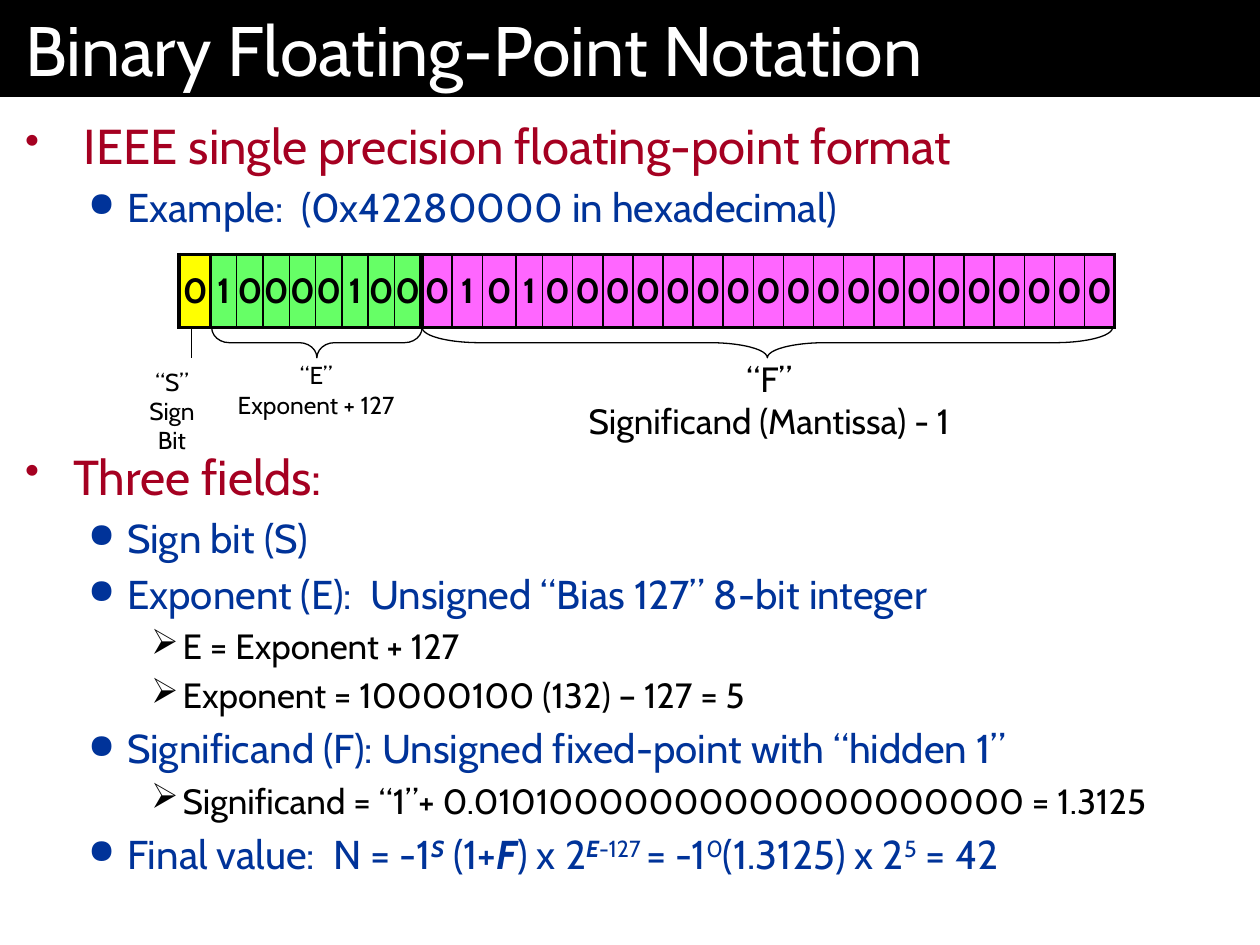
from lxml import etree
from pptx import Presentation, util as u
from pptx.dml.color import RGBColor
from pptx.enum import shapes, text
from pptx.oxml import ns

THEME = {
    "font": "Cabin",
    "colors": {"black": "000000", "white": "FFFFFF", "red": "A50021", "blue": "003399",
               "yellow": "FFFF00", "green": "66FF66", "pink": "FF66FF"},
    "sizes": {"title": 40, "bit": 20, "large": 20, "small": 14},
    "lines": {"outer": 2.25, "inner": 1, "thin": 0.75},
}
LEVELS = [
    {"size": 28, "color": "red", "bullet": "•", "scale": 85, "left": 0.38, "hang": 0.38},
    {"size": 23, "color": "blue", "bullet": "●", "scale": 85, "left": 0.81, "hang": 0.31},
    {"size": 20, "color": "black", "bullet": "➢", "scale": 100, "left": 1.25, "hang": 0.25},
]
WIDTH, HEIGHT = 10, 7.5
TITLE_HEIGHT = 0.77
ROW_TOP, ROW_HEIGHT = 2.02, 0.58
BRACE_TOP, BRACE_DEPTH = 2.6, 0.24
SPACE_SHARE = 0.2
DIAGRAM_GAP = 123

TITLE = "Binary Floating-Point Notation"
STRONG = {"bold": True, "italic": True}
RAISED = {"baseline": "30000"}
OUTLINE = [
    (0, [" IEEE single precision floating-point format"]),
    (1, ["Example:  (0x42280000 in hexadecimal)"]),
    (0, ["Three fields:"]),
    (1, ["Sign bit (S)"]),
    (1, ["Exponent (E):  Unsigned “Bias 127” 8-bit integer"]),
    (2, ["E = Exponent + 127"]),
    (2, ["Exponent = 10000100 (132) – 127 = 5"]),
    (1, ["Significand (F): Unsigned fixed-point with “hidden 1”"]),
    (2, ["Significand = “1”+ 0.01010000000000000000000 = 1.3125"]),
    (1, ["Final value:  N = -1", ("S", STRONG, RAISED), " (1+", ("F", STRONG, {}), ") x 2",
         ("E", STRONG, RAISED), ("-127 ", {}, RAISED), "= -1", ("0", {}, RAISED),
         "(1.3125) x 2", ("5", {}, RAISED), " = 42"]),
]
GAP_BEFORE = {"Three fields:": DIAGRAM_GAP}
FIELDS = [
    {"bits": "01010000000000000000000", "left": 3.35, "width": 5.5, "fill": "pink",
     "shift": {2: 0.03, 3: -0.03}},
    {"bits": "0", "left": 1.42, "width": 0.26, "fill": "yellow", "shift": {}},
    {"bits": "10000100", "left": 1.67, "width": 1.67, "fill": "green", "shift": {}},
]
BRACES = [(3.35, 5.48, 1.91), (1.68, 1.67, 0.58)]
LABELS = [
    (["“F”", "Significand (Mantissa) - 1"], (4.43, 2.79, 3.35, 0.77), "large", False),
    (["“E”", "Exponent + 127"], (1.71, 2.81, 1.6, 0.57), "small", False),
    (["“S”", "Sign", "Bit"], (0.92, 2.86, 0.89, 0.81), "small", True),
]
SIGN_LINE = (1.52, 2.6, 2.84)


def assign(target, values):
    for name, value in values.items():
        setattr(target, name, value)


def rgb(name):
    return RGBColor.from_string(THEME["colors"][name])


def inches(*values):
    return [u.Inches(value) for value in values]


def add_span(para, words, size, color, style=(), attributes=()):
    span = para.add_run()
    span.text = words
    assign(span.font, {"name": THEME["font"], "size": u.Pt(size), **dict(style)})
    span.font.color.rgb = rgb(color)
    for name, value in dict(attributes).items():
        span.font._element.set(name, value)


def add_box(page, area, margins=(0.1, 0.05), wrap=True, anchor=text.MSO_ANCHOR.TOP):
    box = page.shapes.add_textbox(*inches(*area))
    side, edge = inches(*margins)
    assign(box.text_frame, {"margin_left": side, "margin_right": side, "margin_top": edge,
                            "margin_bottom": edge, "word_wrap": wrap,
                            "vertical_anchor": anchor})
    return box


def next_para(frame, index):
    return frame.add_paragraph() if index else frame.paragraphs[0]


def add_child(parent, tag, **attributes):
    return etree.SubElement(parent, ns.qn(tag), attributes)


def add_title(page):
    box = add_box(page, (0, 0, WIDTH, TITLE_HEIGHT), (0.2, 0.05),
                  anchor=text.MSO_ANCHOR.MIDDLE)
    box.fill.solid()
    box.fill.fore_color.rgb = rgb("black")
    add_span(box.text_frame.paragraphs[0], TITLE, THEME["sizes"]["title"], "white")


def add_outline(page):
    box = add_box(page, (0, TITLE_HEIGHT, WIDTH, HEIGHT - TITLE_HEIGHT), (0.2, 0.15))
    for index, (depth, spans) in enumerate(OUTLINE):
        level = LEVELS[depth]
        para = next_para(box.text_frame, index)
        gap = GAP_BEFORE.get(spans[0], SPACE_SHARE * level["size"])
        assign(para, {"level": depth, "space_before": u.Pt(gap)})
        props = para._p.get_or_add_pPr()
        props.set("marL", str(u.Inches(level["left"])))
        props.set("indent", str(-u.Inches(level["hang"])))
        tint = add_child(props, "a:buClr")
        add_child(tint, "a:srgbClr", val=THEME["colors"][level["color"]])
        add_child(props, "a:buSzPct", val=str(level["scale"] * 1000))
        add_child(props, "a:buChar", char=level["bullet"])
        for span in spans:
            words, *formats = (span,) if isinstance(span, str) else span
            add_span(para, words, level["size"], level["color"], *formats)


def add_border(cell, side, weight):
    line = add_child(cell._tc.get_or_add_tcPr(), f"a:ln{side}", w=str(u.Pt(weight)))
    paint = add_child(line, "a:solidFill")
    add_child(paint, "a:srgbClr", val=THEME["colors"]["black"])


def add_field(page, field):
    bits = field["bits"]
    area = inches(field["left"], ROW_TOP, field["width"], ROW_HEIGHT)
    table = page.shapes.add_table(1, len(bits), *area).table
    assign(table, {"first_row": False, "horz_banding": False})
    outer, inner = THEME["lines"]["outer"], THEME["lines"]["inner"]
    for index, bit in enumerate(bits):
        width = field["width"] / len(bits) + field["shift"].get(index, 0)
        table.columns[index].width = u.Inches(width)
        cell = table.cell(0, index)
        assign(cell, {"margin_left": 0, "margin_right": 0, "margin_top": 0,
                      "margin_bottom": 0, "vertical_anchor": text.MSO_ANCHOR.MIDDLE})
        add_border(cell, "L", outer if index == 0 else inner)
        add_border(cell, "R", outer if index == len(bits) - 1 else inner)
        add_border(cell, "T", outer)
        add_border(cell, "B", outer)
        cell.fill.solid()
        cell.fill.fore_color.rgb = rgb(field["fill"])
        para = cell.text_frame.paragraphs[0]
        size = THEME["sizes"]["bit"]
        assign(para, {"alignment": text.PP_ALIGN.CENTER, "space_before": u.Pt(SPACE_SHARE * size)})
        add_span(para, bit, size, "black", {"bold": True})


def style_line(line):
    line.color.rgb = rgb("black")
    line.width = u.Pt(THEME["lines"]["thin"])


def add_brace(page, left, span, curve):
    area = inches(left + (span - BRACE_DEPTH) / 2, BRACE_TOP + (BRACE_DEPTH - span) / 2,
                  BRACE_DEPTH, span)
    brace = page.shapes.add_shape(shapes.MSO_SHAPE.RIGHT_BRACE, *area)
    brace.rotation = 90
    brace.adjustments[0] = curve
    brace.shadow.inherit = False
    brace.fill.background()
    style_line(brace.line)


def add_label(page, lines, area, size, wrap):
    box = add_box(page, area, wrap=wrap)
    for index, words in enumerate(lines):
        para = next_para(box.text_frame, index)
        para.alignment = text.PP_ALIGN.CENTER
        add_span(para, words, THEME["sizes"][size], "black")


def add_sign_line(page):
    x, top, bottom = SIGN_LINE
    line = page.shapes.add_connector(shapes.MSO_CONNECTOR.STRAIGHT, *inches(x, top, x, bottom))
    style_line(line.line)
    add_child(line._element.spPr, "a:effectLst")


def main():
    deck = Presentation()
    assign(deck, {"slide_width": u.Inches(WIDTH), "slide_height": u.Inches(HEIGHT)})
    page = deck.slides.add_slide(deck.slide_layouts[6])
    add_title(page)
    add_outline(page)
    for field in FIELDS:
        add_field(page, field)
    for brace in BRACES:
        add_brace(page, *brace)
    for label in LABELS:
        add_label(page, *label)
    add_sign_line(page)
    deck.save("out.pptx")


if __name__ == "__main__":
    main()
